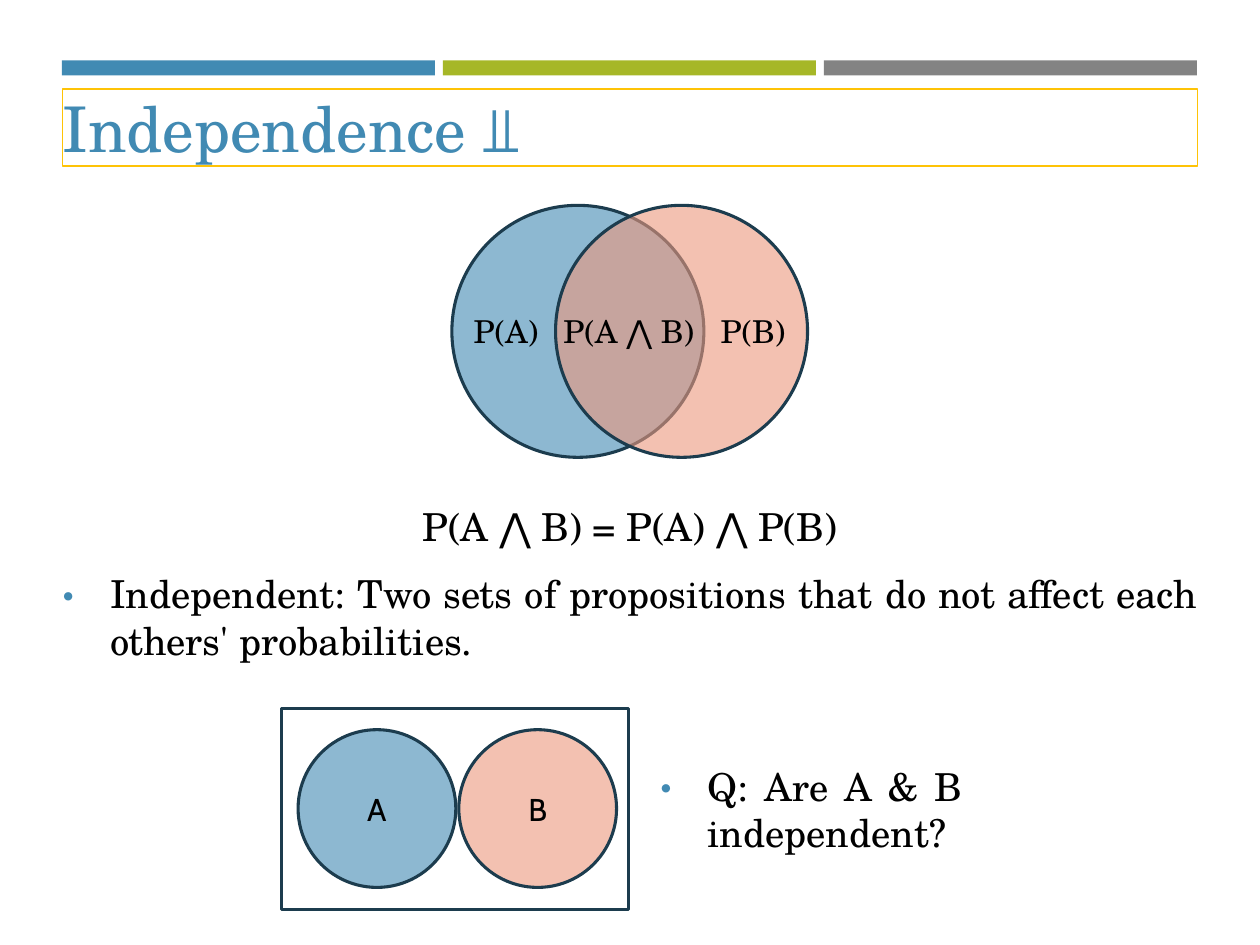
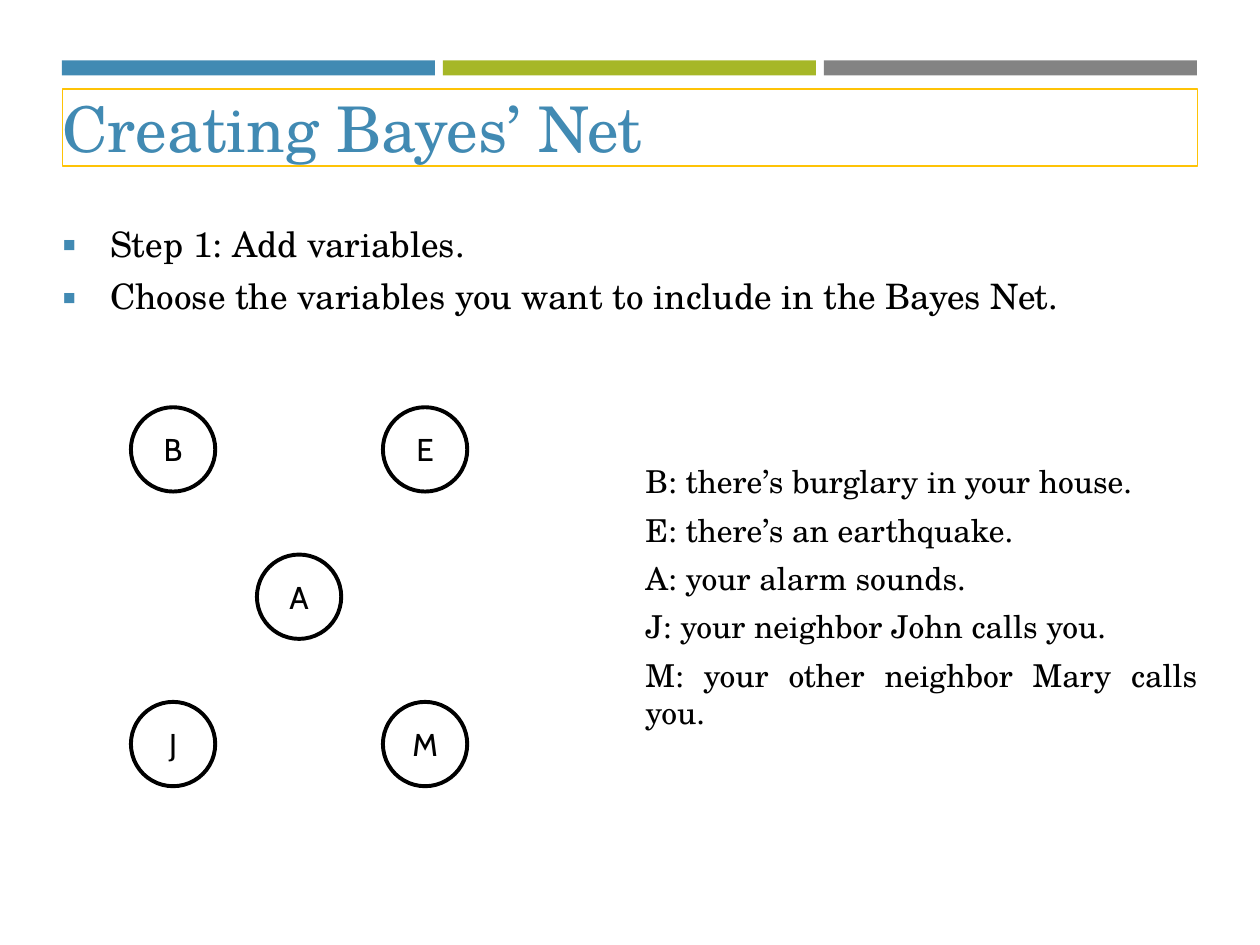
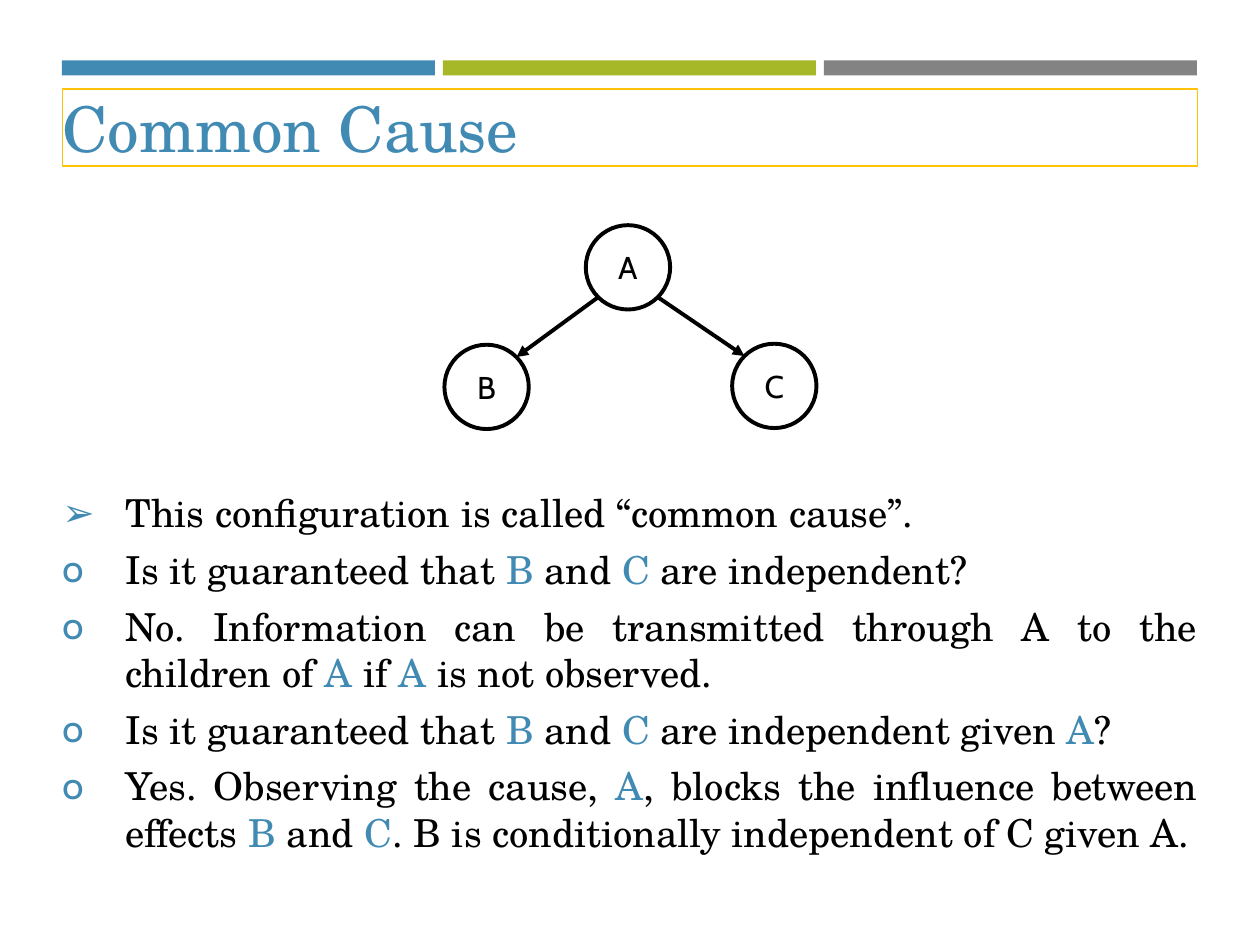
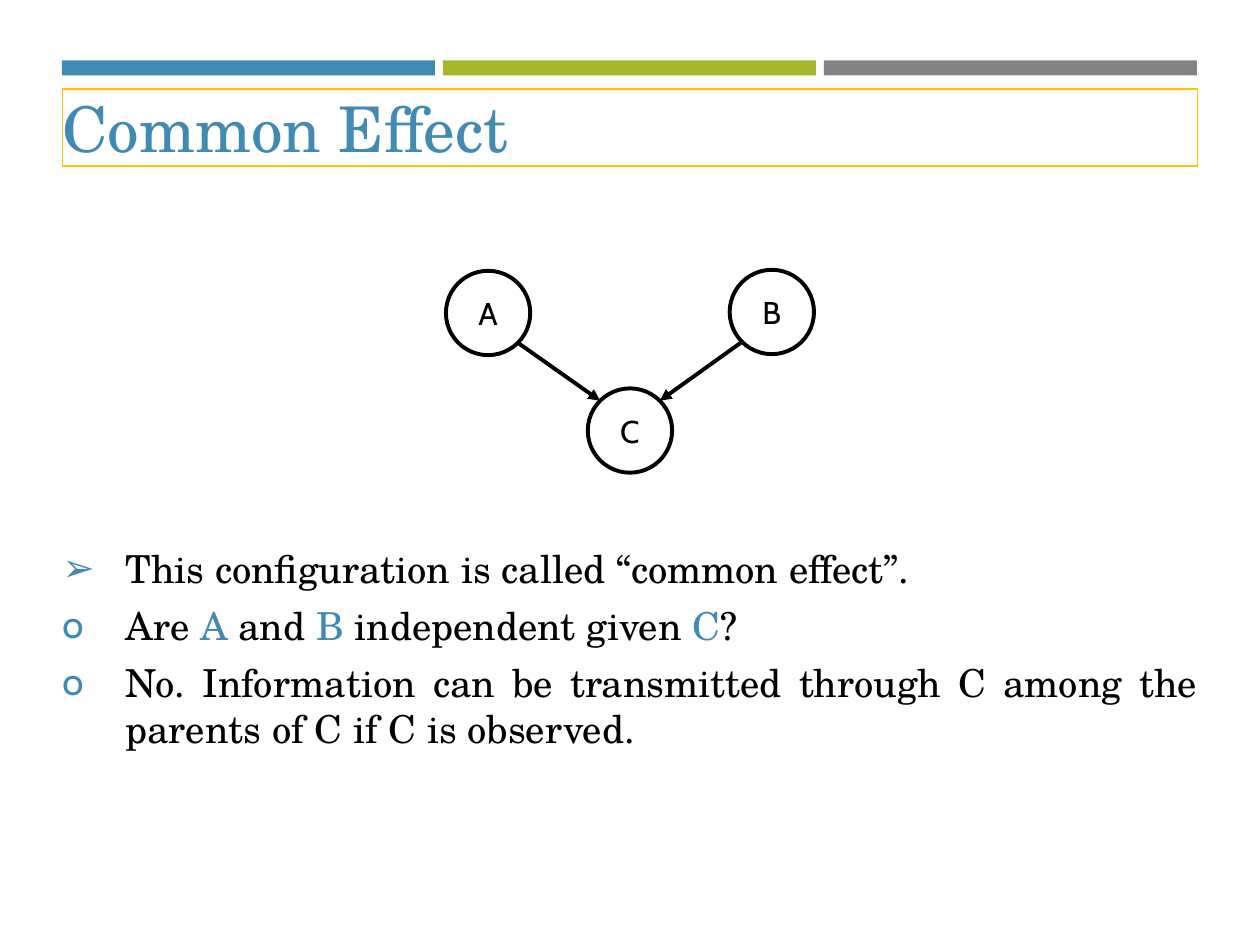
from dataclasses import dataclass
from math import sqrt
from typing import Any, Optional

from lxml.etree import SubElement
from pptx import Presentation
from pptx.dml.color import RGBColor
from pptx.enum.shapes import MSO_CONNECTOR, MSO_SHAPE
from pptx.enum.text import MSO_ANCHOR, MSO_AUTO_SIZE, PP_ALIGN
from pptx.oxml.ns import qn
from pptx.util import Cm, Pt

COLORS = {
    "blue": "418AB3",
    "green": "A6B727",
    "gray": "838383",
    "gold": "FEC306",
    "salmon": "EC987D",
    "navy": "1C3C4E",
    "black": "000000",
}
SERIF = "TeX Gyre Schola"
SANS = "Cabin"

# Shared geometry, in centimetres
LEFT, WIDTH = 1.26, 22.88
NODE_SIZE = 1.7
LABEL_TOP, LABEL_HEIGHT = 6.17, 1.02


@dataclass(frozen=True)
class Box:
    left: float
    top: float
    width: float
    height: float

    def lengths(self) -> tuple:
        return Cm(self.left), Cm(self.top), Cm(self.width), Cm(self.height)


@dataclass(frozen=True)
class Node:
    letter: str
    left: float
    top: float


@dataclass(frozen=True)
class Disc:
    letter: str
    box: Box
    color: str


@dataclass(frozen=True)
class Line:
    """A paragraph; the parts between asterisks take the accent colour."""
    text: str
    bullet: Optional[str] = None
    indent: float = 0
    align: PP_ALIGN = PP_ALIGN.JUSTIFY


def rgb(name: str) -> RGBColor:
    return RGBColor.from_string(COLORS[name])


def format_run(run: Any, size: float, color: str = "black", font: str = SERIF) -> None:
    run.font.size = Pt(size)
    run.font.name = font
    run.font.color.rgb = rgb(color)


def add_bullet(paragraph: Any, char: str, indent: float) -> None:
    props = paragraph._p.get_or_add_pPr()
    props.set("marL", str(Cm(indent)))
    props.set("indent", str(-Cm(indent)))
    color = SubElement(props, qn("a:buClr"))
    SubElement(color, qn("a:srgbClr"), val=COLORS["blue"])
    SubElement(props, qn("a:buFont"), typeface=SANS)
    SubElement(props, qn("a:buChar"), char=char)


def add_outline(shapes: Any, preset: MSO_SHAPE, box: Box, line: Optional[str],
                weight: float = 1, fill: Optional[str] = None, opacity: int = 100) -> Any:
    shape = shapes.add_shape(preset, *box.lengths())
    shape.shadow.inherit = False
    if fill:
        shape.fill.solid()
        shape.fill.fore_color.rgb = rgb(fill)
        if opacity < 100:
            fill_color = next(shape._element.spPr.iter(qn("a:srgbClr")))
            SubElement(fill_color, qn("a:alpha"), val=str(opacity * 1000))
    else:
        shape.fill.background()
    if line:
        shape.line.color.rgb = rgb(line)
        shape.line.width = Pt(weight)
    else:
        shape.line.fill.background()
    return shape


def set_label(shape: Any, text: str, size: float = 18, color: str = "black",
              font: str = SERIF, align: PP_ALIGN = PP_ALIGN.CENTER) -> None:
    frame = shape.text_frame
    frame.text = text
    paragraph = frame.paragraphs[0]
    paragraph.alignment = align
    format_run(paragraph.runs[0], size, color, font)


def fit_frame(frame: Any) -> None:
    frame.word_wrap = True
    frame.auto_size = MSO_AUTO_SIZE.SHAPE_TO_FIT_TEXT
    frame.vertical_anchor = MSO_ANCHOR.MIDDLE
    frame.margin_left = frame.margin_right = frame.margin_top = frame.margin_bottom = 0


def add_lines(slide: Any, box: Box, lines: list[Line], size: float, gap: float = 6) -> None:
    frame = slide.shapes.add_textbox(*box.lengths()).text_frame
    fit_frame(frame)
    for number, line in enumerate(lines):
        paragraph = frame.add_paragraph() if number else frame.paragraphs[0]
        paragraph.alignment = line.align
        paragraph.space_after = Pt(gap)
        if line.bullet:
            add_bullet(paragraph, line.bullet, line.indent)
        for part, words in enumerate(line.text.split("*")):
            run = paragraph.add_run()
            run.text = words
            format_run(run, size, "blue" if part % 2 else "black")


def add_disc(shapes: Any, disc: Disc) -> None:
    circle = add_outline(shapes, MSO_SHAPE.OVAL, disc.box, "navy", 1.75, disc.color, 60)
    if disc.letter:
        set_label(circle, disc.letter, font=SANS)


def add_node(shapes: Any, node: Node) -> None:
    box = Box(node.left, node.top, NODE_SIZE, NODE_SIZE)
    circle = add_outline(shapes, MSO_SHAPE.OVAL, box, "black", 2.25)
    circle.text_frame.word_wrap = False
    set_label(circle, node.letter, font=SANS)


def add_arrow(shapes: Any, parent: Node, child: Node) -> None:
    """Join the diagonal points where the two circles face each other."""
    radius = NODE_SIZE / 2
    reach = radius / sqrt(2)
    dx = reach if child.left > parent.left else -reach
    dy = reach if child.top > parent.top else -reach
    arrow = shapes.add_connector(
        MSO_CONNECTOR.STRAIGHT,
        Cm(parent.left + radius + dx), Cm(parent.top + radius + dy),
        Cm(child.left + radius - dx), Cm(child.top + radius - dy))
    arrow.line.color.rgb = rgb("black")
    arrow.line.width = Pt(2.25)
    SubElement(arrow.line._get_or_add_ln(), qn("a:tailEnd"), type="triangle")
    SubElement(arrow._element.spPr, qn("a:effectLst"))


def add_net(slide: Any, nodes: list[Node], edges: list[str]) -> None:
    group = slide.shapes.add_group_shape()
    by_letter = {node.letter: node for node in nodes}
    for node in nodes:
        add_node(group.shapes, node)
    for parent, child in edges:
        add_arrow(group.shapes, by_letter[parent], by_letter[child])


def add_titled_slide(deck: Any, title: str) -> Any:
    slide = deck.slides.add_slide(deck.slide_layouts[6])
    for column, color in enumerate(("blue", "green", "gray")):
        add_outline(slide.shapes, MSO_SHAPE.RECTANGLE,
                    Box(1.25 + column * 7.68, 1.22, 7.52, 0.3), None, fill=color)
    heading = add_outline(slide.shapes, MSO_SHAPE.RECTANGLE,
                          Box(LEFT, 1.8, WIDTH, 1.55), "gold")
    fit_frame(heading.text_frame)
    set_label(heading, title, 36, "blue", align=PP_ALIGN.LEFT)
    return slide


def question_list(name: str, questions: list[str]) -> list[Line]:
    intro = Line(f"This configuration is called “{name}”.", "➢", 1.27)
    return [intro] + [Line(text, "o", 1.27) for text in questions]


def build_independence(deck: Any) -> None:
    slide = add_titled_slide(deck, "Independence ⫫")
    add_lines(slide, Box(LEFT, 10.13, WIDTH, 3.25), [
        Line("P(A ⋀ B) = P(A) ⋀ P(B)", align=PP_ALIGN.CENTER),
        Line("Independent: Two sets of propositions that do not affect "
             "each others' probabilities.", "•", 0.96),
    ], 22, 12)

    # Overlapping sets
    venn = slide.shapes.add_group_shape().shapes
    for left, color in ((9.11, "blue"), (11.2, "salmon")):
        add_disc(venn, Disc("", Box(left, 4.14, 5.08, 5.08), color))
    for text, left, width in (("P(A)", 9.12, 2.16), ("P(A ⋀ B)", 10.92, 3.51),
                              ("P(B)", 14.1, 2.16)):
        label = venn.add_textbox(*Box(left, LABEL_TOP, width, LABEL_HEIGHT).lengths())
        label.text_frame.word_wrap = True
        set_label(label, text)

    # Disjoint sets
    disjoint = slide.shapes.add_group_shape().shapes
    for letter, left, color in (("A", 6.01, "blue"), ("B", 9.25, "salmon")):
        add_disc(disjoint, Disc(letter, Box(left, 14.71, 3.18, 3.18), color))
    add_outline(disjoint, MSO_SHAPE.RECTANGLE, Box(5.67, 14.28, 7.01, 4.05), "navy", 1.75)
    add_lines(slide, Box(13.31, 15.37, 6.1, 1.88),
              [Line("Q: Are A & B independent?", "•", 0.96)], 22, 12)


def build_variables(deck: Any) -> None:
    slide = add_titled_slide(deck, "Creating Bayes’ Net")
    # Nodes sit on a three by three grid
    for letter, column, row in (("B", 0, 0), ("E", 2, 0), ("A", 1, 1),
                                ("J", 0, 2), ("M", 2, 2)):
        add_node(slide.shapes, Node(letter, 2.64 + column * 2.54, 8.21 + row * 2.97))
    meanings = ["B: there’s burglary in your house.", "E: there’s an earthquake.",
                "A: your alarm sounds.", "J: your neighbor John calls you.",
                "M: your other neighbor Mary calls you."]
    add_lines(slide, Box(13.01, 9.68, 11.13, 4.7), [Line(text) for text in meanings], 18)
    steps = ["Step 1: Add variables.",
             "Choose the variables you want to include in the Bayes Net."]
    add_lines(slide, Box(LEFT, 4.47, WIDTH, 1.93),
              [Line(text, "▪", 0.96) for text in steps], 20)


def build_common_cause(deck: Any) -> None:
    slide = add_titled_slide(deck, "Common Cause")
    add_net(slide, [Node("B", 8.96, 6.95), Node("A", 11.81, 4.54), Node("C", 14.76, 6.93)],
            ["AB", "AC"])
    add_lines(slide, Box(LEFT, 9.83, WIDTH, 7.44), question_list("common cause", [
        "Is it guaranteed that *B* and *C* are independent?",
        "No. Information can be transmitted through A to the children of "
        "*A* if *A* is not observed.",
        "Is it guaranteed that *B* and *C* are independent given *A*?",
        "Yes. Observing the cause, *A*, blocks the influence between effects "
        "*B* and *C*. B is conditionally independent of C given A.",
    ]), 22)


def build_common_effect(deck: Any) -> None:
    slide = add_titled_slide(deck, "Common Effect")
    add_net(slide, [Node("A", 8.99, 5.46), Node("C", 11.85, 7.83), Node("B", 14.71, 5.44)],
            ["AC", "BC"])
    add_lines(slide, Box(LEFT, 10.97, WIDTH, 4.19), question_list("common effect", [
        "Are *A* and *B* independent given *C*?",
        "No. Information can be transmitted through C among the parents of C "
        "if C is observed.",
    ]), 22)


def main() -> None:
    deck = Presentation()
    deck.slide_width, deck.slide_height = Cm(25.4), Cm(19.05)
    build_independence(deck)
    build_variables(deck)
    build_common_cause(deck)
    build_common_effect(deck)
    deck.save("out.pptx")


if __name__ == "__main__":
    main()
